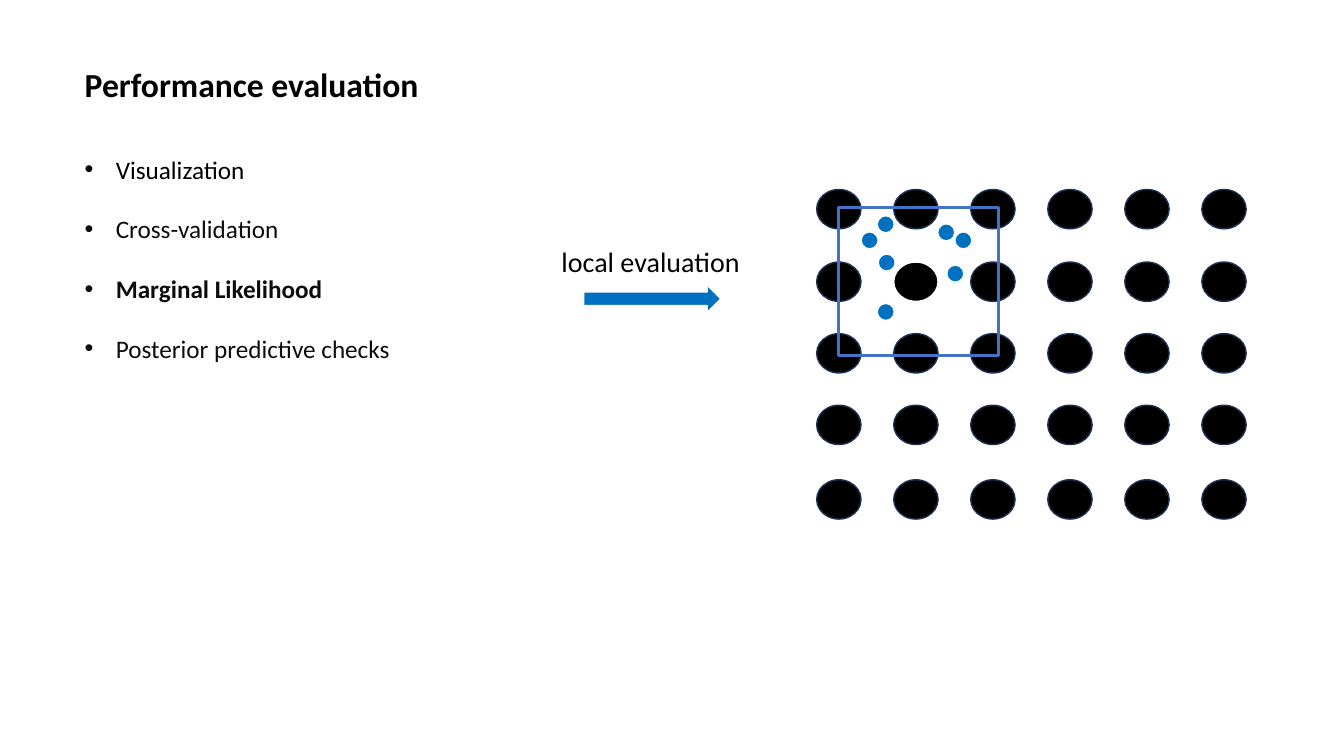
from lxml import etree
from pptx import Presentation
from pptx.dml.color import RGBColor
from pptx.enum import shapes, text
from pptx.oxml import ns
from pptx.util import Inches, Pt

FONT = "Calibri"
BLACK, WHITE, BLUE = "000000", "FFFFFF", "0070C0"
CIRCLE = shapes.MSO_SHAPE.FLOWCHART_CONNECTOR
METHODS = [
    ("Visualization", BLACK, False),
    ("Cross-validation", "0D0D0D", False),
    ("Marginal Likelihood", "0D0D0D", True),
    ("Posterior predictive checks", "0D0D0D", False),
]
COLUMNS = 6
ROW_OFFSETS = [0, 0.72, 1.43, 2.14, 2.88]
NODE_WIDTH, NODE_HEIGHT = 0.44, 0.39
CENTRE_NODE = (1, 1)
SAMPLE_SIZE = 0.17
SAMPLE_OFFSETS = [(0.22, 0.24), (0.39, 0.46), (0.98, 0.16), (0.38, 0.95),
                  (1.07, 0.57), (1.15, 0.24), (0.38, 0.08)]


def color(value):
    return RGBColor.from_string(value)


def inches(box):
    return [Inches(length) for length in box]


def style_font(paragraph, size, value, bold=False):
    font = paragraph.font
    font.name, font.size, font.bold = FONT, Pt(size), bold
    font.color.rgb = color(value)


def add_shape(parent, kind, box, fill, line, width=1):
    shape = parent.add_shape(kind, *inches(box))
    shape.shadow.inherit = False
    if fill:
        shape.fill.solid()
        shape.fill.fore_color.rgb = color(fill)
    else:
        shape.fill.background()
    shape.line.color.rgb = color(line)
    shape.line.width = Pt(width)
    return shape


def add_title(slide, box):
    title = slide.shapes.title
    title.left, title.top, title.width, title.height = inches(box)
    frame = title.text_frame
    frame.text = "Performance evaluation"
    frame.word_wrap = False
    frame.vertical_anchor = text.MSO_ANCHOR.TOP
    paragraph = frame.paragraphs[0]
    paragraph.alignment = text.PP_ALIGN.LEFT
    style_font(paragraph, 24, BLACK, True)


def add_bullet(paragraph):
    properties = paragraph._p.get_or_add_pPr()
    properties.set("marL", str(Inches(0.31)))
    properties.set("indent", str(-Inches(0.31)))
    bullet_font = etree.SubElement(properties, ns.qn("a:buFont"))
    bullet_font.set("typeface", "Arial")
    bullet = etree.SubElement(properties, ns.qn("a:buChar"))
    bullet.set("char", "•")


def add_methods(slide, box):
    frame = slide.shapes.add_textbox(*inches(box)).text_frame
    frame.word_wrap = True
    for index, (method, value, bold) in enumerate(METHODS):
        paragraph = frame.add_paragraph() if index else frame.paragraphs[0]
        paragraph.text = method
        paragraph.space_after = Pt(21)
        add_bullet(paragraph)
        style_font(paragraph, 18, value, bold)


def add_node_grid(slide, box):
    left, top, width, height = box
    pitch = (width - NODE_WIDTH) / (COLUMNS - 1)
    group = slide.shapes.add_group_shape()
    for row, offset in enumerate(ROW_OFFSETS):
        for column in range(COLUMNS):
            line = WHITE if (row, column) == CENTRE_NODE else "1E3256"
            node_box = (left + column * pitch, top + offset, NODE_WIDTH, NODE_HEIGHT)
            add_shape(group.shapes, CIRCLE, node_box, BLACK, line)


def add_local_step(slide, box):
    left, top, width, height = box
    arrow_box = (left + 0.32, top + 0.45, 1.36, 0.27)
    add_shape(slide.shapes, shapes.MSO_SHAPE.RIGHT_ARROW, arrow_box, BLUE, WHITE)
    frame = slide.shapes.add_textbox(*inches((left, top, width, 0.44))).text_frame
    frame.word_wrap = True
    paragraph = frame.paragraphs[0]
    paragraph.text = "local evaluation"
    style_font(paragraph, 20, BLACK)


def add_local_window(slide, box):
    left, top, width, height = box
    add_shape(slide.shapes, shapes.MSO_SHAPE.RECTANGLE, box, None, "4472C4", 2.25)
    for across, down in SAMPLE_OFFSETS:
        sample_box = (left + across, top + down, SAMPLE_SIZE, SAMPLE_SIZE)
        add_shape(slide.shapes, CIRCLE, sample_box, BLUE, WHITE)


def main():
    presentation = Presentation()
    presentation.slide_width = Inches(13.33)
    presentation.slide_height = Inches(7.5)
    slide = presentation.slides.add_slide(presentation.slide_layouts[5])
    add_title(slide, (0.74, 0.58, 3.55, 0.5))
    add_methods(slide, (0.74, 1.48, 3.55, 2.52))
    add_node_grid(slide, (8.1, 1.88, 4.26, 3.27))
    add_local_step(slide, (5.47, 2.38, 1.99, 0.72))
    add_local_window(slide, (8.32, 2.06, 1.58, 1.47))
    presentation.save("out.pptx")


if __name__ == "__main__":
    main()
